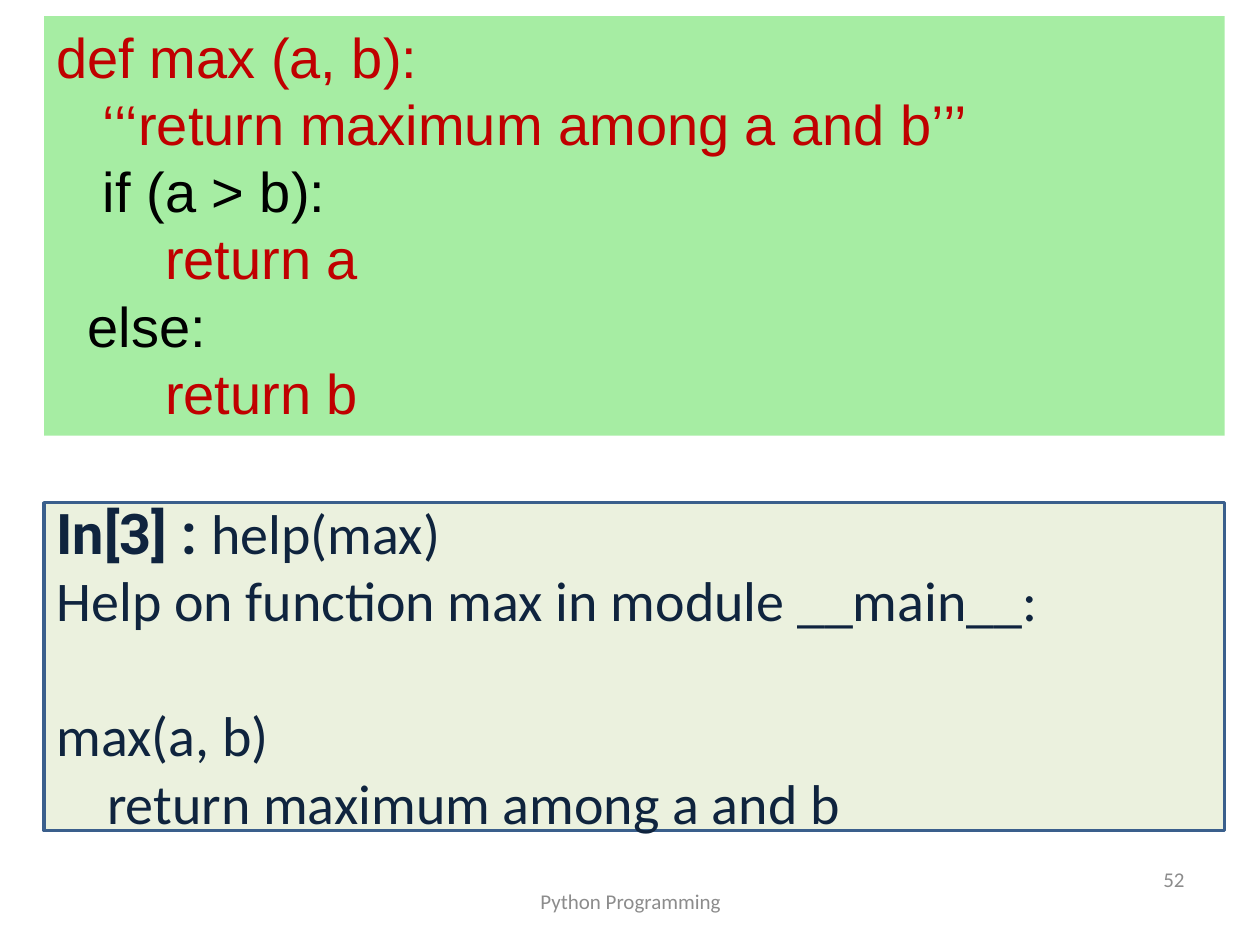
from dataclasses import dataclass

from pptx import Presentation
from pptx.dml.color import RGBColor
from pptx.enum.shapes import MSO_SHAPE
from pptx.enum.text import MSO_ANCHOR, PP_ALIGN
from pptx.util import Inches, Pt

RECTANGLE = MSO_SHAPE.RECTANGLE
TOP, MIDDLE = MSO_ANCHOR.TOP, MSO_ANCHOR.MIDDLE
LEFT, CENTER, RIGHT = PP_ALIGN.LEFT, PP_ALIGN.CENTER, PP_ALIGN.RIGHT

GREEN = RGBColor(0xA6, 0xED, 0xA3)
PALE_OLIVE = RGBColor(0xEB, 0xF1, 0xDE)
BORDER_BLUE = RGBColor(0x3A, 0x5F, 0x8C)
RED = RGBColor(0xC0, 0x00, 0x00)
BLACK = RGBColor(0x00, 0x00, 0x00)
NAVY = RGBColor(0x0F, 0x24, 0x3E)
GRAY = RGBColor(0x8C, 0x8C, 0x8C)

WIDTH, HEIGHT = Inches(10), Inches(7.5)
PANEL_LEFT, PANEL_WIDTH = 0.035, 0.937
CODE_SIZE, FOOTER_SIZE = 32, 12
BLANK_LINE = 39


@dataclass(frozen=True)
class Span:
    text: str
    color: RGBColor
    font: str = "Calibri"
    size: int = CODE_SIZE
    bold: bool = False


@dataclass(frozen=True)
class Line:
    spans: tuple[Span, ...]
    space_before: int = 0


@dataclass(frozen=True)
class Area:
    """A rectangle given as shares of the slide's width and height."""
    left: float
    top: float
    width: float
    height: float

    def box(self) -> tuple[int, int, int, int]:
        return (int(self.left * WIDTH), int(self.top * HEIGHT),
                int(self.width * WIDTH), int(self.height * HEIGHT))


def write_lines(shape, lines: list[Line], anchor, align) -> None:
    tf = shape.text_frame
    tf.word_wrap = True
    tf.vertical_anchor = anchor
    for i, line in enumerate(lines):
        p = tf.paragraphs[0] if i == 0 else tf.add_paragraph()
        p.alignment = align
        if line.space_before:
            p.space_before = Pt(line.space_before)
        for span in line.spans:
            r = p.add_run()
            r.text = span.text
            r.font.name = span.font
            r.font.size = Pt(span.size)
            r.font.bold = span.bold
            r.font.color.rgb = span.color


def add_panel(s, area: Area, fill: RGBColor, lines: list[Line], anchor,
              border: RGBColor | None = None) -> None:
    sp = s.shapes.add_shape(RECTANGLE, *area.box())
    sp.shadow.inherit = False
    sp.fill.solid()
    sp.fill.fore_color.rgb = fill
    if border is None:
        sp.line.fill.background()
    else:
        sp.line.color.rgb = border
        sp.line.width = Pt(2)
    write_lines(sp, lines, anchor, LEFT)


def add_footer(s, area: Area, text: str, align) -> None:
    sp = s.shapes.add_textbox(*area.box())
    write_lines(sp, [Line((Span(text, GRAY, size=FOOTER_SIZE),))], MIDDLE, align)


def code(text: str, color: RGBColor = RED) -> Line:
    return Line((Span(text, color, "Arial"),))


def output(text: str, space_before: int = 0) -> Line:
    return Line((Span(text, NAVY),), space_before)


FUNCTION_CODE = [
    code("def max (a, b):"),
    code("   ‘‘‘return maximum among a and b’’’"),
    code("   if (a > b):", BLACK),
    code("       return a"),
    code("  else:", BLACK),
    code("       return b"),
]

HELP_SESSION = [
    Line((Span("In[3] : ", NAVY, "Roboto", bold=True), Span("help(max)", NAVY))),
    output("Help on function max in module __main__:"),
    output("max(a, b)", BLANK_LINE),
    output("    return maximum among a and b"),
]


def main() -> None:
    prs = Presentation()
    prs.slide_width, prs.slide_height = WIDTH, HEIGHT
    s = prs.slides.add_slide(prs.slide_layouts[6])
    add_footer(s, Area(0.342, 0.927, 0.317, 0.053), "Python Programming", CENTER)
    add_footer(s, Area(0.717, 0.904, 0.233, 0.053), "52", RIGHT)
    add_panel(s, Area(PANEL_LEFT, 0.017, PANEL_WIDTH, 0.444),
              GREEN, FUNCTION_CODE, TOP)
    add_panel(s, Area(PANEL_LEFT, 0.532, PANEL_WIDTH, 0.347),
              PALE_OLIVE, HELP_SESSION, MIDDLE, BORDER_BLUE)
    prs.save("out.pptx")


if __name__ == "__main__":
    main()
